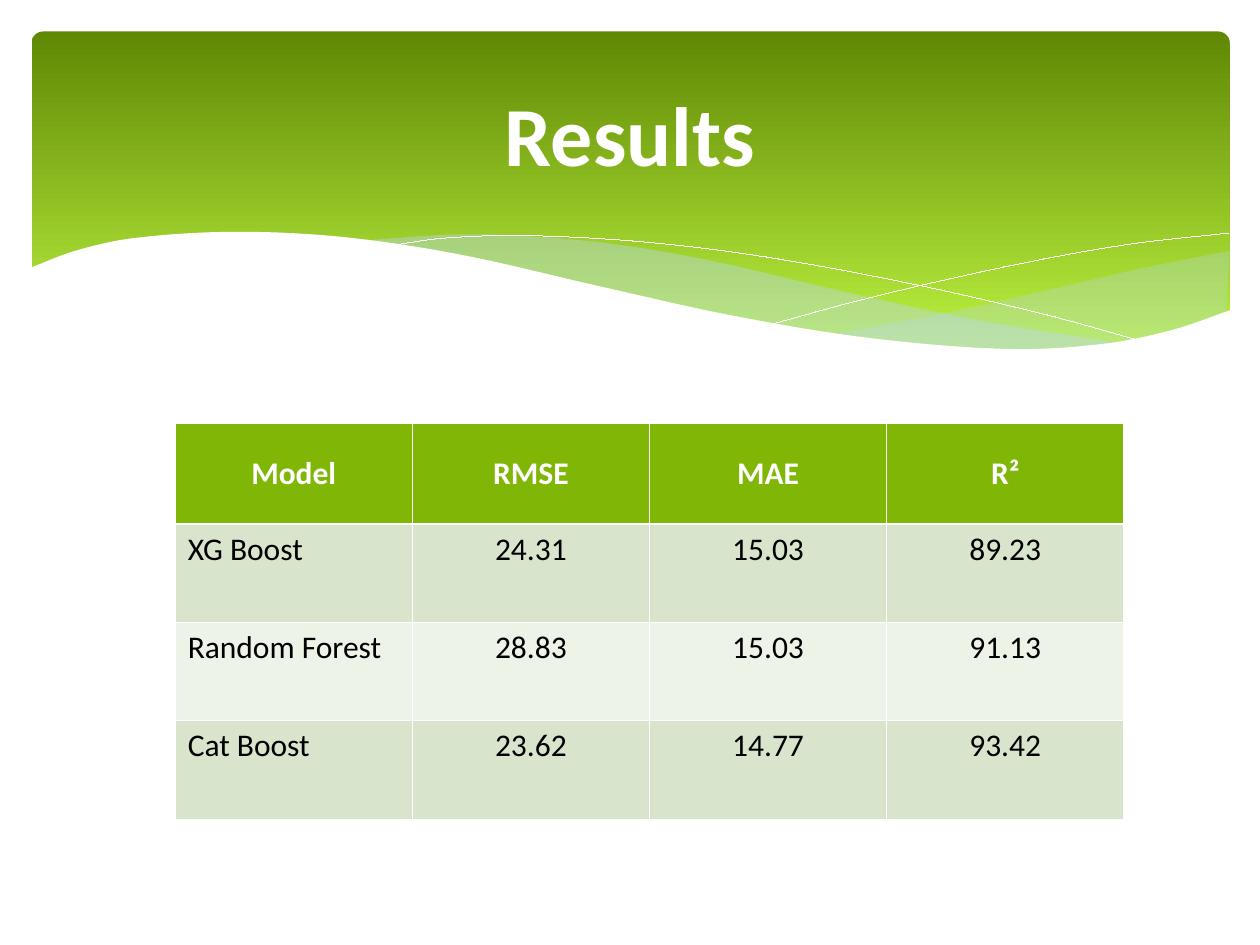
from itertools import pairwise
from lxml.etree import SubElement
from pptx import Presentation
from pptx.dml.color import RGBColor
from pptx.enum.shapes import MSO_SHAPE as Preset
from pptx.enum.text import MSO_ANCHOR as Anchor, PP_ALIGN as Align
from pptx.oxml import parse_xml
from pptx.oxml.ns import nsdecls, qn
from pptx.util import Inches, Pt

WHITE, BLACK, HAZE = "FFFFFF", "000000", "BBD7F8"
WAVE_FLOOR = 3.29

CREST = [(0.23, 2.13), (0.6, 1.99), (1.06, 1.89), (1.85, 1.84), (2.71, 1.88),
         (3.65, 2.02), (4.75, 2.27), (5.79, 2.5), (6.88, 2.68), (8, 2.77),
         (8.75, 2.73), (9.3, 2.62), (9.77, 2.46)]
LEFT_RIDGE = [(2.86, 1.91), (3.7, 1.86), (4.64, 1.91), (5.55, 2.05),
              (6.68, 2.31), (7.75, 2.54), (8.93, 2.73)]
RIGHT_RIDGE = [(6.61, 2.65), (7.53, 2.48), (8.32, 2.3), (9.06, 2.13), (9.76, 1.99)]
FALLING_LINE = [(3.09, 1.95), (3.53, 1.89), (4.16, 1.87), (5.1, 1.92),
                (6.08, 2.04), (7.27, 2.26), (8.31, 2.5), (9.07, 2.71)]
RISING_LINE = [(6.13, 2.57), (6.95, 2.35), (8.06, 2.1), (8.95, 1.94), (9.75, 1.85)]

RESULTS = [
    ("Model", "RMSE", "MAE", "R²"),
    ("XG Boost", "24.31", "15.03", "89.23"),
    ("Random Forest", "28.83", "15.03", "91.13"),
    ("Cat Boost", "23.62", "14.77", "93.42"),
]


def rgb(value):
    """Turn a hex string into a colour."""
    return RGBColor.from_string(value)


def smooth(knots, steps=12):
    """Return points on a cubic Hermite curve through knots ordered by x."""
    neighbours = zip([knots[0], *knots[:-1]], [*knots[1:], knots[-1]])
    slopes = [(after[1] - before[1]) / (after[0] - before[0]) for before, after in neighbours]
    points = [knots[0]]
    for ((x0, y0), slope0), ((x1, y1), slope1) in pairwise(zip(knots, slopes)):
        span = x1 - x0
        for step in range(1, steps + 1):
            t = step / steps
            blend = t * t * (3 - 2 * t)
            bend = t * (1 - t) * ((1 - t) * slope0 - t * slope1)
            points.append((x0 + span * t, y0 + (y1 - y0) * blend + span * bend))
    return points


def haze_outline(ridge):
    """Return the area between a ridge and the stretch of crest below it."""
    left, right = ridge[0][0], ridge[-1][0]
    below = [(x, y) for x, y in smooth(CREST) if left < x < right]
    return smooth(ridge) + below[::-1]


class SlideWriter:
    """Holds the style and the current slide and draws each kind of element."""

    font = "Calibri"
    header_fill = "80B606"
    band_fills = ("EDF3E7", "D8E5CC")
    thin, thick = 0.45, 1.47
    hairline = 0.01

    def __init__(self, slide):
        self.shapes = slide.shapes

    def run(self, paragraph, text, size, color, bold):
        run = paragraph.add_run()
        run.text = text
        run.font.name, run.font.size, run.font.bold = self.font, Pt(size), bold
        run.font.color.rgb = rgb(color)

    def banner(self, left, top, width, height, start, end):
        banner = self.shapes.add_shape(
            Preset.ROUNDED_RECTANGLE, Inches(left), Inches(top), Inches(width), Inches(height))
        banner.adjustments[0] = 0.034
        banner.shadow.inherit = False
        banner.line.fill.background()
        banner.fill.gradient()
        banner.fill.gradient_angle = 270
        for stop, color, position in zip(banner.fill.gradient_stops, (start, end), (0, 1)):
            stop.color.rgb = rgb(color)
            stop.position = position

    def outline(self, points, closed):
        corners = [(Inches(x), Inches(y)) for x, y in points]
        builder = self.shapes.build_freeform(*corners[0])
        builder.add_line_segments(corners[1:], close=closed)
        outline = builder.convert_to_shape()
        outline.shadow.inherit = False
        return outline

    def area(self, points, color, opacity=100):
        area = self.outline(points, closed=True)
        area.line.fill.background()
        area.fill.solid()
        area.fill.fore_color.rgb = rgb(color)
        if opacity < 100:
            tint = next(area.element.spPr.iter(qn("a:srgbClr")))
            SubElement(tint, qn("a:alpha"), val=str(opacity * 1000))

    def curve(self, knots, color):
        curve = self.outline(smooth(knots), closed=False)
        curve.fill.background()
        curve.line.color.rgb = rgb(color)
        curve.line.width = Pt(self.hairline)

    def title(self, text, left, top, width, height):
        title = self.shapes.title
        title.left, title.top = Inches(left), Inches(top)
        title.width, title.height = Inches(width), Inches(height)
        title.text_frame.vertical_anchor = Anchor.MIDDLE
        heading = title.text_frame.paragraphs[0]
        heading.alignment = Align.CENTER
        self.run(heading, text, 48, WHITE, True)
        title.element.getparent().append(title.element)

    def borders(self, cell, top, bottom):
        sides = {"L": self.thin, "R": self.thin, "T": top, "B": bottom}
        for index, (side, width) in enumerate(sides.items()):
            cell._tc.get_or_add_tcPr().insert(index, parse_xml(
                f'<a:ln{side} {nsdecls("a")} w="{Pt(width)}"><a:solidFill>'
                f'<a:srgbClr val="{WHITE}"/></a:solidFill></a:ln{side}>'))

    def cell(self, cell, text, row, column):
        header = row == 0
        cell.vertical_anchor = Anchor.MIDDLE if header else Anchor.TOP
        cell.fill.solid()
        cell.fill.fore_color.rgb = rgb(self.header_fill if header else self.band_fills[row % 2])
        self.borders(cell, top=self.thick if row == 1 else self.thin,
                     bottom=self.thick if header else self.thin)
        paragraph = cell.text_frame.paragraphs[0]
        paragraph.alignment = Align.CENTER if header or column else Align.LEFT
        self.run(paragraph, text, 18, WHITE if header else BLACK, header)

    def table(self, rows, left, top, width, header_height, row_height):
        heights = [header_height] + [row_height] * (len(rows) - 1)
        table = self.shapes.add_table(
            len(rows), len(rows[0]), Inches(left), Inches(top),
            Inches(width), Inches(sum(heights))).table
        for row, (values, height) in enumerate(zip(rows, heights)):
            table.rows[row].height = Inches(height)
            for column, value in enumerate(values):
                self.cell(table.cell(row, column), value, row, column)


def main():
    """Build the results slide and save it."""
    deck = Presentation()
    deck.slide_width, deck.slide_height = Inches(10), Inches(7.5)
    writer = SlideWriter(deck.slides.add_slide(deck.slide_layouts[5]))
    writer.banner(0.25, 0.25, 9.51, 2.7, "608804", "C1F944")
    for ridge, opacity in ((RIGHT_RIDGE, 29), (LEFT_RIDGE, 40)):
        writer.area(haze_outline(ridge), HAZE, opacity)
    for knots in (FALLING_LINE, RISING_LINE):
        writer.curve(knots, WHITE)
    floor = [(CREST[end][0], WAVE_FLOOR) for end in (-1, 0)]
    writer.area(smooth(CREST) + floor, WHITE)
    writer.title("Results", 0.5, 0.37, 9, 1.37)
    writer.table(RESULTS, 1.39, 3.36, 7.53, header_height=0.8, row_height=0.78)
    deck.save("out.pptx")


if __name__ == "__main__":
    main()
